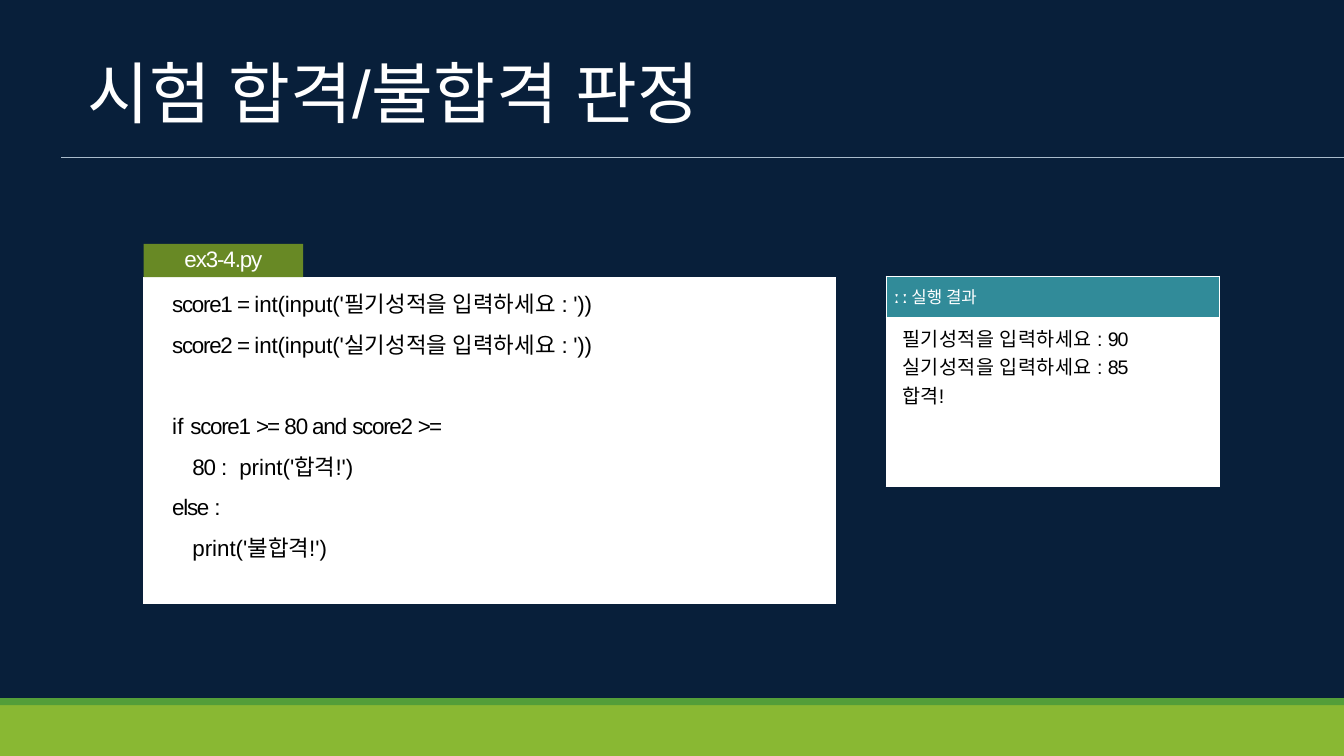
from pptx import Presentation
from pptx.dml.color import RGBColor
from pptx.enum.shapes import MSO_CONNECTOR, MSO_SHAPE
from pptx.enum.text import MSO_ANCHOR, PP_ALIGN
from pptx.oxml.ns import qn
from pptx.util import Pt
from lxml import etree

RECTANGLE = MSO_SHAPE.RECTANGLE
STRAIGHT = MSO_CONNECTOR.STRAIGHT
MIDDLE = MSO_ANCHOR.MIDDLE
CENTER = PP_ALIGN.CENTER

WIDTH, HEIGHT = 960, 540
NAVY, WHITE, BLACK = "081F3A", "FFFFFF", "000000"
GREEN, LIME, OLIVE, TEAL = "539E39", "89B833", "688925", "318B99"
RULE_COLOR = "A9BBCB"

TITLE = [("시험 ", 0.5), ("합격", 0.2), ("/", 0.2), ("불합격 ", 0.7), ("판정", -0.2)]


def score_input(name, prompt):
    return [(name, -0.9), (" = ", -1.4), ("int(input('", -0.1), (prompt, 0.1),
            (": '))", -0.2)]


# Each line: indent, space before, spans of (text, letter spacing)
CODE = [
    (0, 0, score_input("score1", "필기성적을 입력하세요 ")),
    (0, 0, score_input("score2", "실기성적을 입력하세요 ")),
    (0, 29, [("if ", 0.2), ("score1 ", -0.9), (">= ", -1.4), ("80 and ", -0.8),
             ("score2 ", -0.9), (">=", -1.4)]),
    (14.4, 0, [("80 ", -0.8), (":  ", -0.2), ("print('", 0), ("합격", 0), ("!')", 0)]),
    (0, 0, [("else ", -0.9), (":", -0.2)]),
    (14.4, 0, [("print('", 0), ("불합격", 0), ("!')", 0)]),
]
RESULT = [
    [("필기성적을 입력하세요 ", 0.3), (": ", -0.1), ("90", -0.8)],
    [("실기성적을 입력하세요 ", 0.3), (": ", -0.1), ("85", -0.8)],
    [("합격", 0.2), ("!", 0.2)],
]


def rgb(value):
    return RGBColor.from_string(value)


def add_spans(para, spans, size, color):
    """Add runs; Hangul takes one font and all other text the other."""
    for text, spacing in spans:
        span = para.add_run()
        span.text = text
        span.font.size = Pt(size)
        span.font.color.rgb = rgb(color)
        hangul = any(letter >= "가" for letter in text)
        span.font.name = "Courier New" if hangul else "Arial"
        span.font._element.set("spc", str(round(spacing * 100)))


def clear_insets(frame, top=0, bottom=0):
    frame.margin_left = frame.margin_right = 0
    frame.margin_top, frame.margin_bottom = Pt(top), Pt(bottom)


def next_paragraph(frame, index):
    return frame.add_paragraph() if index else frame.paragraphs[0]


def add_box(page, left, top, width, height, fill):
    box = page.shapes.add_shape(RECTANGLE, Pt(left), Pt(top), Pt(width), Pt(height))
    box.shadow.inherit = False
    box.fill.solid()
    box.fill.fore_color.rgb = rgb(fill)
    box.line.fill.background()
    return box


def add_text_area(page, left, top, width, height):
    area = page.shapes.add_textbox(Pt(left), Pt(top), Pt(width), Pt(height))
    clear_insets(area.text_frame, 1)
    area.text_frame.word_wrap = True
    return area.text_frame


def add_line(page, x1, y1, x2, y2, color):
    line = page.shapes.add_connector(STRAIGHT, Pt(x1), Pt(y1), Pt(x2), Pt(y2))
    line.line.color.rgb = rgb(color)
    line.line.width = Pt(0.5)
    etree.SubElement(line._element.spPr, qn("a:effectLst"))


def add_backdrop(page):
    green_top, lime_top = 498.7, 503.7
    add_box(page, 0, 0, WIDTH, green_top, NAVY)
    add_box(page, 0, lime_top, WIDTH, HEIGHT - lime_top, LIME)
    add_box(page, 0, green_top, WIDTH, lime_top - green_top, GREEN)


def add_title(page, left, top, width, height):
    frame = add_text_area(page, left, top, width, height)
    add_spans(frame.paragraphs[0], TITLE, 48, WHITE)
    add_line(page, left - 18.8, top + 76.2, WIDTH, top + 76.2, RULE_COLOR)


def add_code_panel(page, left, top, width, height):
    """White gutter and code area, with a file tab on top."""
    gutter = 14.6
    right, bottom = left + width, top + height
    add_box(page, left, top, gutter, height, WHITE)
    add_box(page, left + gutter, top, width - gutter, height, WHITE)
    for x in (left, right):
        add_line(page, x, top, x, bottom, WHITE)
    for y in (top, bottom):
        add_line(page, left, y, right, y, WHITE)

    frame = add_text_area(page, left + 20.4, top - 1.2, 312, 204)
    for index, (indent, before, spans) in enumerate(CODE):
        para = next_paragraph(frame, index)
        para.line_spacing = Pt(29)
        para.space_before = Pt(before)
        para._p.get_or_add_pPr().set("marL", str(Pt(indent)))
        add_spans(para, spans, 16, BLACK)

    tab_height = 23.8
    tab = add_box(page, left, top - tab_height, 114, tab_height, OLIVE)
    clear_insets(tab.text_frame, bottom=2.8)
    tab.text_frame.vertical_anchor = MIDDLE
    label = tab.text_frame.paragraphs[0]
    label.alignment = CENTER
    add_spans(label, [("ex3-4.py", -0.8)], 16, WHITE)


def add_cell_border(cell, side):
    border = etree.SubElement(cell._tc.get_or_add_tcPr(), qn("a:" + side), w=str(Pt(1)))
    fill = etree.SubElement(border, qn("a:solidFill"))
    etree.SubElement(fill, qn("a:srgbClr"), val=WHITE)


def fill_cell(cell, fill, left, top, bottom=0):
    cell.fill.solid()
    cell.fill.fore_color.rgb = rgb(fill)
    clear_insets(cell, top, bottom)
    cell.margin_left = Pt(left)


def add_result_table(page, left, top, width, height):
    header_height = 29.5
    table = page.shapes.add_table(2, 1, Pt(left), Pt(top), Pt(width), Pt(height)).table
    table.rows[0].height = Pt(header_height)
    table.rows[1].height = Pt(height - header_height)
    header, body = table.cell(0, 0), table.cell(1, 0)
    for side in ("lnL", "lnR", "lnT"):
        add_cell_border(header, side)
    fill_cell(header, TEAL, 5.5, 0, 1.4)
    header.vertical_anchor = MIDDLE
    heading = header.text_frame.paragraphs[0]
    add_spans(heading, [("ː ː ", -0.7), ("실행 결과", 0)], 12, WHITE)
    for span, bold in zip(heading.runs, (True, False)):
        span.font.bold = bold

    fill_cell(body, WHITE, 11.5, 4.3)
    for index, spans in enumerate(RESULT):
        para = next_paragraph(body.text_frame, index)
        para.line_spacing = Pt(20.4)
        add_spans(para, spans, 14, BLACK)


def main():
    deck = Presentation()
    deck.slide_width, deck.slide_height = Pt(WIDTH), Pt(HEIGHT)
    page = deck.slides.add_slide(deck.slide_layouts[6])
    add_backdrop(page)
    add_title(page, 62.4, 36, 468, 60)
    add_code_panel(page, 102.6, 198, 494.4, 233.3)
    add_result_table(page, 633, 197.3, 238.3, 150.5)
    deck.save("out.pptx")


if __name__ == "__main__":
    main()
